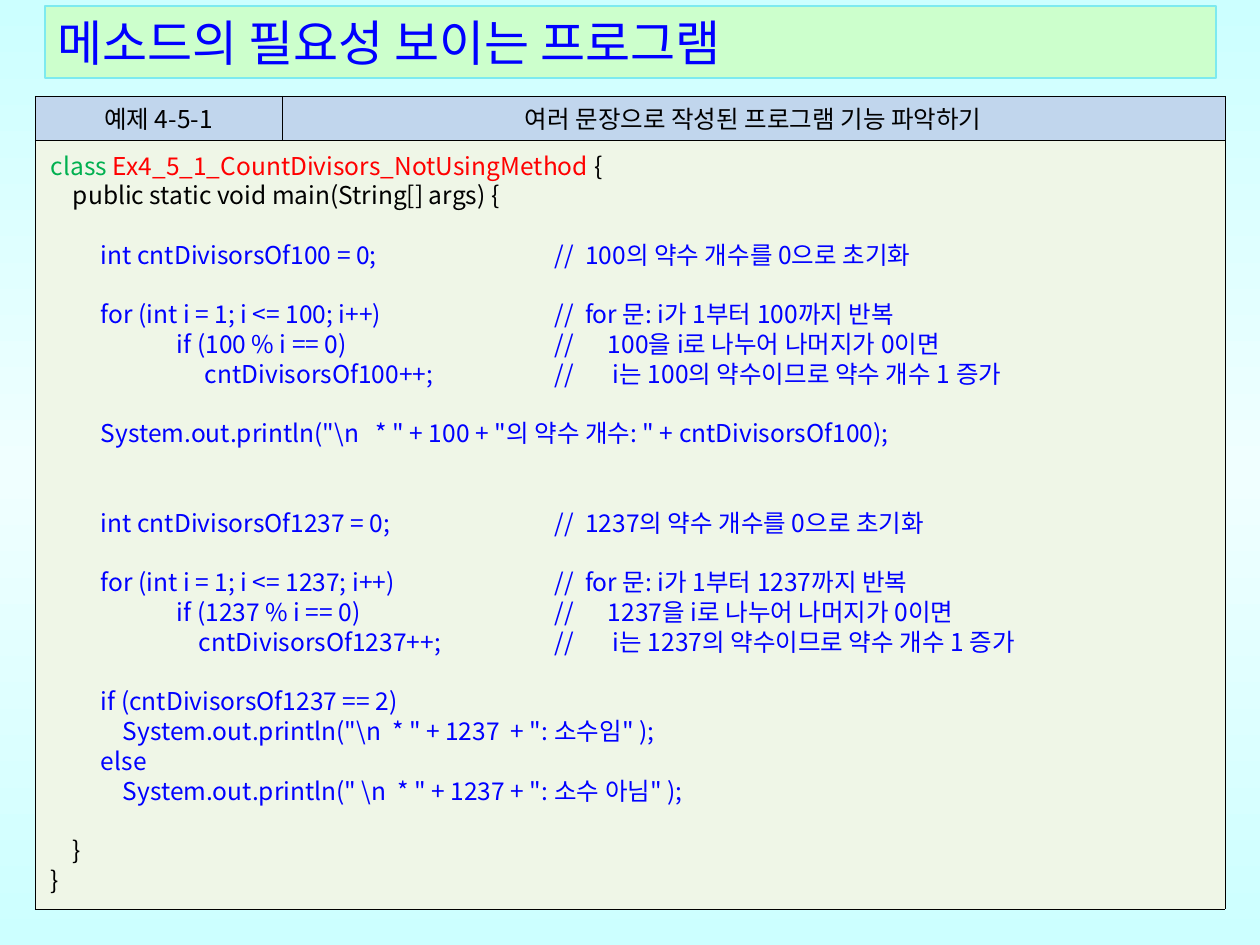
import copy
import pptx
import pptx.util
import pptx.dml.color
import pptx.enum.shapes
import pptx.enum.text
import pptx.oxml
import pptx.oxml.ns

PX = 914400 // 126
FONT = "Noto Sans CJK KR"
HUES = {
    "edge": "CCFFFF", "mid": "F0FFFF", "bar": "CCFFCC", "rim": "7DEAEF",
    "head": "C1D6ED", "body": "EFF6E7", "black": "000000",
    "blue": "0000FF", "green": "00B050", "red": "FF0000",
}
STEP = 17  # line pitch of the code, in points
NOTE = 504  # column of the comments
ALIGN = pptx.enum.text.PP_ALIGN
MIDDLE = pptx.enum.text.MSO_ANCHOR.MIDDLE


def px(n):
    return pptx.util.Emu(n * PX)


def hue(name):
    return pptx.dml.color.RGBColor.from_string(HUES[name])


def paint(fill, name):
    fill.solid()
    fill.fore_color.rgb = hue(name)


def add_run(para, text, size, name):
    run = para.add_run()
    run.text = text
    run.font.size = pptx.util.Pt(size)
    run.font.color.rgb = hue(name)
    run.font.name = FONT
    east = pptx.oxml.parse_xml(
        f'<a:ea {pptx.oxml.ns.nsdecls("a")} typeface="{FONT}"/>')
    run.font._element.append(east)


def set_tabs(para, stops):
    marks = "".join(f'<a:tab pos="{px(s)}" algn="l"/>' for s in stops)
    para._p.get_or_add_pPr().append(pptx.oxml.parse_xml(
        f'<a:tabLst {pptx.oxml.ns.nsdecls("a")}>{marks}</a:tabLst>'))


def frame(cell, name, left=4):
    """Fill, margins and thin black borders of one cell."""
    props = cell._tc.get_or_add_tcPr()
    for side in ("lnL", "lnR", "lnT", "lnB"):
        props.append(pptx.oxml.parse_xml(
            f'<a:{side} {pptx.oxml.ns.nsdecls("a")} w="3556"><a:solidFill>'
            f'<a:srgbClr val="{HUES["black"]}"/></a:solidFill></a:{side}>'))
    paint(cell.fill, name)
    cell.vertical_anchor = MIDDLE
    cell.margin_left, cell.margin_right = px(left), px(4)
    cell.margin_top, cell.margin_bottom = px(1), px(1)


def back(slide):
    fill = slide.background.fill
    fill.gradient()
    fill.gradient_angle = 90
    stops = slide.element.xpath(".//a:gsLst")[0]
    stops.append(copy.deepcopy(stops[0]))
    rule = zip(fill.gradient_stops, (0, 0.5, 1), ("edge", "mid", "edge"))
    for stop, place, name in rule:
        stop.position = place
        stop.color.rgb = hue(name)


def title(slide, x, y, w, h, text):
    bar = slide.shapes.add_shape(
        pptx.enum.shapes.MSO_SHAPE.RECTANGLE, px(x), px(y), px(w), px(h))
    bar.shadow.inherit = False
    paint(bar.fill, "bar")
    bar.line.color.rgb = hue("rim")
    bar.line.width = pptx.util.Pt(0.75)
    bar.text_frame.word_wrap = True
    bar.text_frame.vertical_anchor = MIDDLE
    para = bar.text_frame.paragraphs[0]
    para.alignment = ALIGN.LEFT
    add_run(para, text, 28, "blue")


def code(cell, lines):
    """Each line: blank lines above, indent, runs, comment, comment indent."""
    text = cell.text_frame
    for i, (gap, dent, runs, note, deep) in enumerate(lines):
        para = text.add_paragraph() if i else text.paragraphs[0]
        para.alignment = ALIGN.LEFT
        para.line_spacing = pptx.util.Pt(STEP)
        para.space_before = pptx.util.Pt(STEP * gap)
        set_tabs(para, [s for s in (dent, note and NOTE, deep) if s])
        if dent:
            add_run(para, "\t", 14, runs[0][1])
        for words, name in runs:
            add_run(para, words, 14, name)
        if note:
            lead = "\t//\t" if deep else "\t//  "
            add_run(para, lead + note, 14, "blue")


def listing(slide, x, y, w, h, heads, lines):
    grid = slide.shapes.add_table(2, 2, px(x), px(y), px(w), px(h)).table
    side, top = 247, 44
    grid.columns[0].width, grid.columns[1].width = px(side), px(w - side)
    grid.rows[0].height, grid.rows[1].height = px(top), px(h - top)
    for cell, words in zip(grid.rows[0].cells, heads):
        frame(cell, "head")
        para = cell.text_frame.paragraphs[0]
        para.alignment = ALIGN.CENTER
        add_run(para, words, 14, "black")
    for cell in grid.rows[1].cells:
        frame(cell, "body", 16)
    grid.cell(1, 0).merge(grid.cell(1, 1))
    code(grid.cell(1, 0), lines)


def row(gap, dent, words, note="", deep=0, name="blue"):
    return gap, dent, [(words, name)], note, deep


def count(n, gap, dent):
    """The lines that count the divisors of n."""
    return [
        row(gap, 50, f"int cntDivisorsOf{n} = 0;", f"{n}의 약수 개수를 0으로 초기화"),
        row(1, 50, f"for (int i = 1; i <= {n}; i++)",
            f"for 문: i가 1부터 {n}까지 반복"),
        row(0, 126, f"if ({n} % i == 0)",
            f"{n}을 i로 나누어 나머지가 0이면", 557),
        row(0, dent, f"cntDivisorsOf{n}++;",
            f"i는 {n}의 약수이므로 약수 개수 1 증가", 562),
    ]


LINES = [
    (0, 0, [("class ", "green"),
            ("Ex4_5_1_CountDivisors_NotUsingMethod ", "red"),
            ("{", "black")], "", 0),
    row(0, 22, "public static void main(String[] args) {", name="black"),
    *count(100, 1, 154),
    row(1, 50, 'System.out.println("\\n   * " + 100 + "의 약수 개수: "'
               ' + cntDivisorsOf100);'),
    *count(1237, 2, 148),
    row(1, 50, "if (cntDivisorsOf1237 == 2)"),
    row(0, 72, 'System.out.println("\\n  * " + 1237  + ": 소수임" );'),
    row(0, 50, "else"),
    row(0, 72, 'System.out.println(" \\n  * " + 1237 + ": 소수 아님" );'),
    row(1, 22, "}", name="black"),
    row(0, 0, "}", name="black"),
]

deck = pptx.Presentation()
deck.slide_width, deck.slide_height = px(1260), px(945)
page = deck.slides.add_slide(deck.slide_layouts[6])
back(page)
listing(page, 35, 96, 1190, 813,
        ("예제 4-5-1", "여러 문장으로 작성된 프로그램 기능 파악하기"), LINES)
title(page, 45, 6, 1171, 72, "메소드의 필요성 보이는 프로그램")
deck.save("out.pptx")
